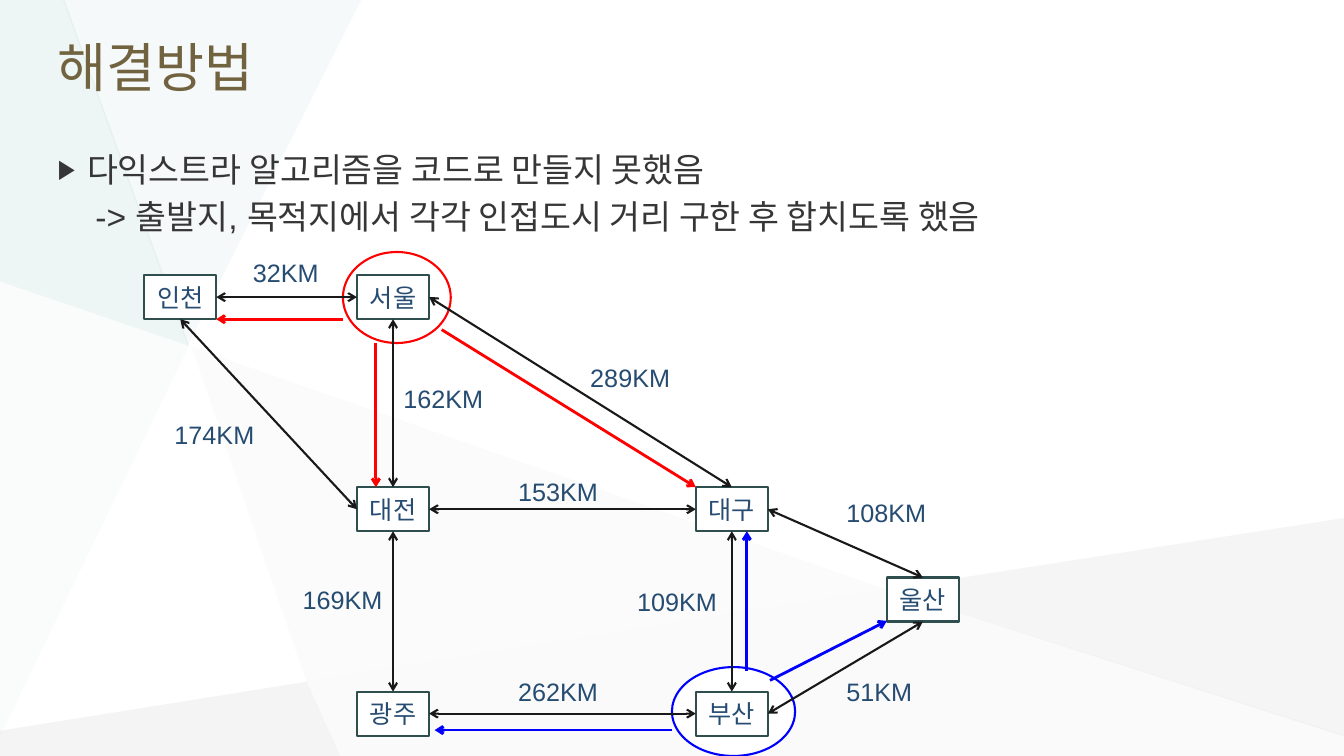
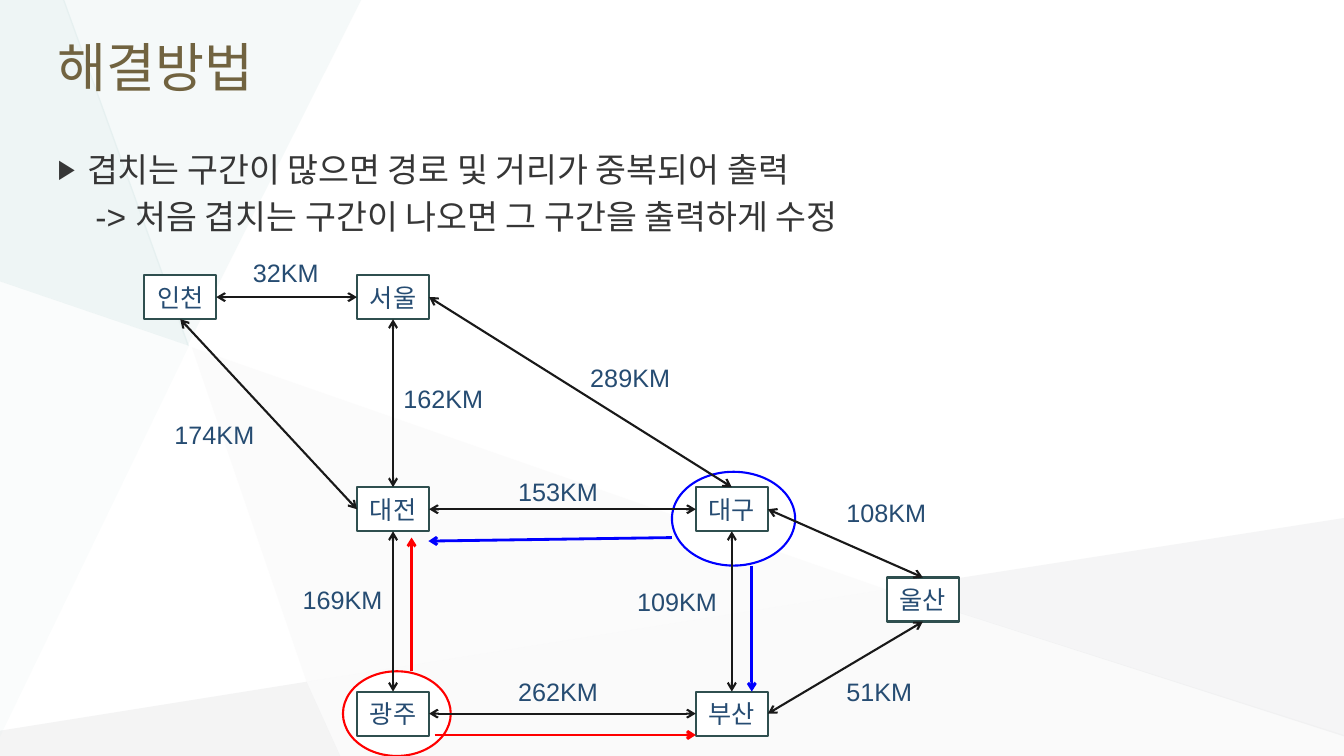
from lxml.etree import SubElement
from pptx import Presentation
from pptx.dml.color import RGBColor as Rgb
from pptx.enum.shapes import MSO_CONNECTOR as Connector, MSO_SHAPE as Shape
from pptx.enum.text import MSO_ANCHOR as Anchor, MSO_AUTO_SIZE as AutoSize, PP_ALIGN as Align
from pptx.oxml.ns import qn
from pptx.util import Pt

COLORS = {
    "title": "716340",
    "body": "363636",
    "label": "264C72",
    "white": "FFFFFF",
    "border": "2F4F4F",
    "road": "191919",
    "red": "FF0000",
    "blue": "0000FF",
    "pale": "F3F2F2",
    "gray": "B6B8BA",
    "silver": "C6C8CA",
    "mist": "E0EDED",
    "mint": "C1DBDB",
}
FONT = "Arial"
PAGE_SIZE = (960, 540)
TITLE_BOX = (34, 10, 890, 74)
BODY_BOX = (34, 103, 890, 391)
MAP_ORIGIN = (103, 180)
CITY_SIZE = (51.5, 31.5)
LABEL_SIZE = (74, 28)
TOP, LEFT, BOTTOM, RIGHT = range(4)

FACETS = [
    ("pale", 26, [(137, 248), (219, 487), (633, 421)]),
    ("gray", 15, [(219, 487), (0, 522), (0, 540), (243, 540)]),
    ("mist", 31, [(258, 0), (45, 0), (134, 247)]),
    ("silver", 17, [(960, 370), (633, 421), (960, 526)]),
    ("gray", 6, [(633, 421), (219, 487), (243, 540), (960, 540), (960, 525)]),
    ("mint", 27, [(46, 0), (0, 0), (0, 201), (135, 247)]),
    ("mint", 8, [(0, 201), (0, 526), (135, 247)]),
]

CITIES = {
    "인천": (0, 16.5),
    "서울": (152, 16.5),
    "대전": (152, 168),
    "광주": (152, 314),
    "대구": (394, 168),
    "부산": (394, 314),
    "울산": (530.5, 232.5),
}

ROADS = [
    ("인천", RIGHT, "서울", LEFT, "32KM", (70.5, 0)),
    ("서울", BOTTOM, "대전", TOP, "162KM", (178, 90)),
    ("대전", BOTTOM, "광주", TOP, "169KM", (106, 234)),
    ("대전", RIGHT, "대구", LEFT, "153KM", (260, 157)),
    ("인천", BOTTOM, "대전", LEFT, "174KM", (14.5, 116)),
    ("서울", RIGHT, "대구", TOP, "289KM", (311.5, 75.5)),
    ("광주", RIGHT, "부산", LEFT, "262KM", (260, 299.5)),
    ("대구", BOTTOM, "부산", TOP, "109KM", (345, 235.5)),
    ("대구", RIGHT, "울산", TOP, "108KM", (494.5, 171.5)),
    ("울산", BOTTOM, "부산", RIGHT, "51KM", (494.5, 299.5)),
]

PAGES = [
    {
        "title": "해결방법",
        "problem": "다익스트라 알고리즘을 코드로 만들지 못했음",
        "answer": "-> 출발지, 목적지에서 각각 인접도시 거리 구한 후 합치도록 했음",
        "rings": [("blue", (377, 296.5, 88, 63.5)), ("red", (142, 0, 77, 65))],
        "routes": [
            ("red", (142, 48), (51.5, 48)),
            ("red", (165.5, 65), (165.5, 168)),
            ("red", (212.5, 55.5), (394, 168)),
            ("blue", (447, 306), (530.5, 263.5)),
            ("blue", (430.5, 299.5), (430.5, 199.5)),
            ("blue", (377, 341.5), (207.5, 341.5)),
        ],
    },
    {
        "title": "해결방법",
        "problem": "겹치는 구간이 많으면 경로 및 거리가 중복되어 출력",
        "answer": "-> 처음 겹치는 구간이 나오면 그 구간을 출력하게 수정",
        "rings": [("blue", (377, 157, 88, 67)), ("red", (142, 299.5, 77, 60.5))],
        "routes": [
            ("red", (191, 299.5), (191, 204)),
            ("red", (207.5, 345), (394, 345)),
            ("blue", (434, 224), (434, 314)),
            ("blue", (377, 204), (203, 206.5)),
        ],
    },
]


def color(name):
    return Rgb.from_string(COLORS[name])


def points(*values):
    return [Pt(value) for value in values]


def shift(origin, place):
    return origin[0] + place[0], origin[1] + place[1]


def style_text(para, size, color_name, align=Align.LEFT):
    para.alignment = align
    para.font.name = FONT
    para.font.size = Pt(size)
    para.font.color.rgb = color(color_name)


def place_holder(holder, box):
    holder.left, holder.top, holder.width, holder.height = points(*box)


def add_facets(page, layout):
    for index, (color_name, opacity, corners) in enumerate(FACETS):
        builder = page.shapes.build_freeform(*corners[0], scale=Pt(1))
        builder.add_line_segments(corners[1:])
        facet = builder.convert_to_shape()
        facet.shadow.inherit = False
        facet.line.fill.background()
        facet.fill.solid()
        facet.fill.fore_color.rgb = color(color_name)
        tint = facet.element.spPr.find(qn("a:solidFill"))[0]
        SubElement(tint, qn("a:alpha"), val=str(opacity * 1000))
        facet.element.nvSpPr.cNvPr.set("id", str(100 + index))
        layout.shapes.element.insert(2 + index, facet.element)


def add_outlined(page, kind, box, color_name):
    shape = page.shapes.add_shape(kind, *points(*box))
    shape.shadow.inherit = False
    shape.fill.solid()
    shape.fill.fore_color.rgb = color("white")
    shape.line.color.rgb = color(color_name)
    shape.line.width = Pt(1.5)
    return shape


def add_arrow(page, start, end, color_name, width, ends=("tailEnd",)):
    arrow = page.shapes.add_connector(Connector.STRAIGHT, *points(*start, *end))
    arrow.line.color.rgb = color(color_name)
    arrow.line.width = Pt(width)
    outline = arrow.element.spPr.find(qn("a:ln"))
    for tip in ends:
        SubElement(outline, qn("a:" + tip), type="arrow")
    SubElement(arrow.element.spPr, qn("a:effectLst"))
    return arrow


def add_city(page, name, place):
    city = add_outlined(page, Shape.RECTANGLE, (*place, *CITY_SIZE), "border")
    frame = city.text_frame
    frame.word_wrap = False
    frame.vertical_anchor = Anchor.MIDDLE
    frame.text = name
    style_text(frame.paragraphs[0], 18, "label", Align.CENTER)
    return city


def add_label(page, text, place):
    frame = page.shapes.add_textbox(*points(*place, *LABEL_SIZE)).text_frame
    frame.word_wrap = True
    frame.text = text
    style_text(frame.paragraphs[0], 18, "label")


def add_map(page, origin, rings, routes):
    for color_name, (left, top, width, height) in rings:
        box = (*shift(origin, (left, top)), width, height)
        add_outlined(page, Shape.OVAL, box, color_name)
    cities = {name: add_city(page, name, shift(origin, place)) for name, place in CITIES.items()}
    for first, first_side, second, second_side, distance, place in ROADS:
        road = add_arrow(page, origin, origin, "road", 1.5, ("headEnd", "tailEnd"))
        road.begin_connect(cities[first], first_side)
        road.end_connect(cities[second], second_side)
        add_label(page, distance, shift(origin, place))
    for color_name, start, end in routes:
        add_arrow(page, shift(origin, start), shift(origin, end), color_name, 2)


def fill_title(holder, text):
    frame = holder.text_frame
    frame.auto_size = AutoSize.NONE
    frame.vertical_anchor = Anchor.MIDDLE
    frame.text = text
    style_text(frame.paragraphs[0], 38, "title")


def fill_body(holder, problem, answer):
    frame = holder.text_frame
    frame.auto_size = AutoSize.NONE
    frame.text = problem
    bullet_para, answer_para = frame.paragraphs[0], frame.add_paragraph()
    answer_para.text = answer
    for para, margin, indent in ((bullet_para, 21, -21), (answer_para, 27, 0)):
        style_text(para, 24, "body")
        layout = para._p.get_or_add_pPr()
        layout.set("marL", str(Pt(margin)))
        layout.set("indent", str(Pt(indent)))
    bullet = bullet_para._p.get_or_add_pPr()
    tint = SubElement(bullet, qn("a:buClr"))
    SubElement(tint, qn("a:srgbClr"), val=COLORS["body"])
    SubElement(bullet, qn("a:buSzPct"), val="80000")
    SubElement(bullet, qn("a:buFont"), typeface=FONT)
    SubElement(bullet, qn("a:buChar"), char="▶")
    SubElement(answer_para._p.get_or_add_pPr(), qn("a:buNone"))


def add_page(deck, layout, content):
    page = deck.slides.add_slide(layout)
    fill_title(page.shapes.title, content["title"])
    fill_body(page.placeholders[1], content["problem"], content["answer"])
    add_map(page, MAP_ORIGIN, content["rings"], content["routes"])
    return page


def main():
    deck = Presentation()
    deck.slide_width, deck.slide_height = points(*PAGE_SIZE)
    layout = deck.slide_layouts[1]
    for holder, box in zip(layout.placeholders, (TITLE_BOX, BODY_BOX)):
        place_holder(holder, box)
    pages = [add_page(deck, layout, content) for content in PAGES]
    add_facets(pages[0], layout)
    deck.save("out.pptx")


if __name__ == "__main__":
    main()
